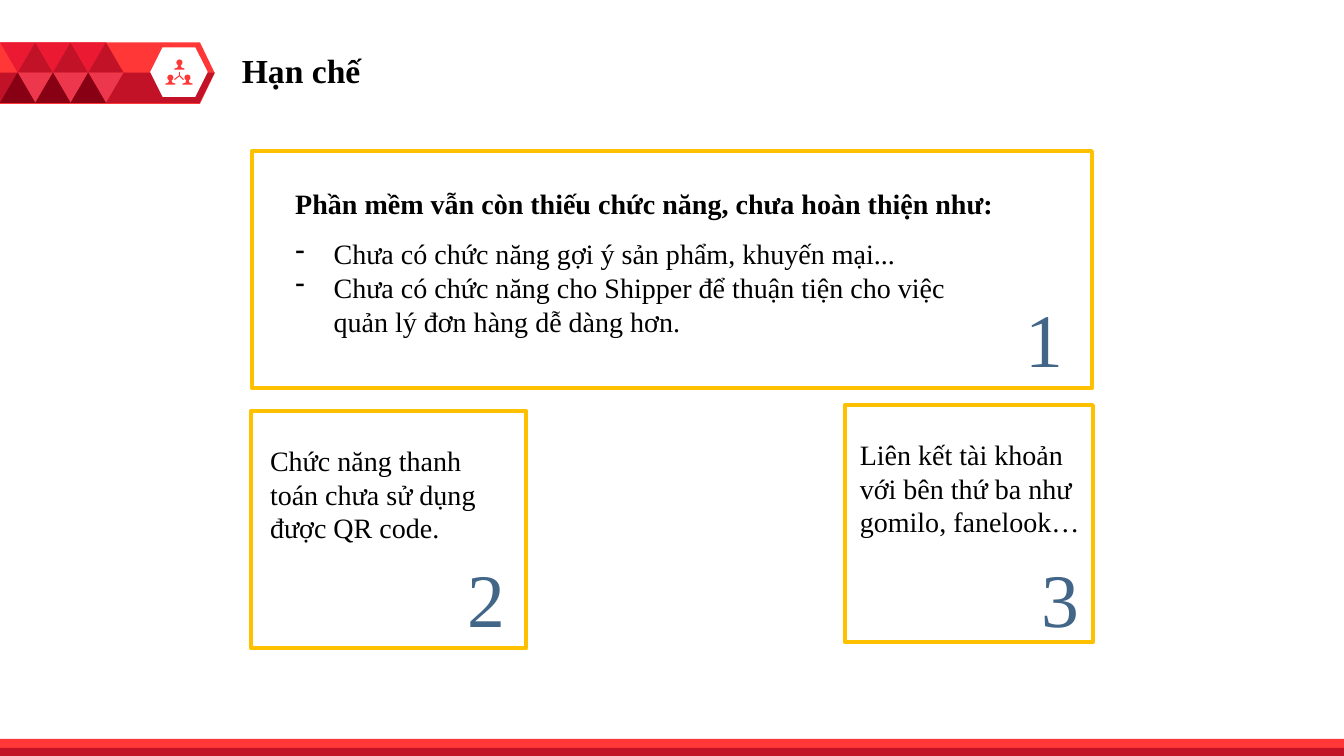
from lxml import etree
from pptx import Presentation
from pptx.dml.color import RGBColor
from pptx.enum.shapes import MSO_CONNECTOR, MSO_SHAPE
from pptx.enum.text import PP_ALIGN
from pptx.oxml.ns import qn
from pptx.util import Inches, Pt

RECTANGLE = MSO_SHAPE.RECTANGLE
TRIANGLE = MSO_SHAPE.ISOSCELES_TRIANGLE
PENTAGON = MSO_SHAPE.PENTAGON
HEXAGON = MSO_SHAPE.HEXAGON
OVAL = MSO_SHAPE.OVAL
STRAIGHT = MSO_CONNECTOR.STRAIGHT
LEFT, RIGHT = PP_ALIGN.LEFT, PP_ALIGN.RIGHT

# Content: text and its box as left, top, width, height
TITLE = ("Hạn chế", (2.3, 0.45, 4.22, 0.5))
HEADING = ("Phần mềm vẫn còn thiếu chức năng, chưa hoàn thiện như:", (2.83, 1.8, 7.67, 0.44))
MISSING_FEATURES = (
    [
        "Chưa có chức năng gợi ý sản phẩm, khuyến mại...",
        "Chưa có chức năng cho Shipper để thuận tiện cho việc quản lý đơn hàng dễ dàng hơn.",
    ],
    (2.83, 2.3, 6.92, 1.11),
)
CARD_TEXTS = [
    ("Chức năng thanh toán chưa sử dụng được QR code.", (2.58, 4.35, 2.47, 1.11)),
    ("Liên kết tài khoản với bên thứ ba như gomilo, fanelook…", (8.43, 4.29, 2.46, 1.45)),
]
CARD_FRAMES = [(2.5, 1.5, 8.33, 2.35), (2.49, 4.08, 2.73, 2.35), (8.38, 4.02, 2.46, 2.35)]
NUMBER_CORNERS = [(9, 2.85), (3.47, 5.43), (9.16, 5.43)]
NUMBER_SIZE = (1.64, 1.01)

THEME = {
    "font": "Times New Roman",
    "title": 24, "body": 20, "number": 54,
    "black": "000000", "white": "FFFFFF", "slate": "426687", "gold": "FFC000",
    "bright": "FF3737", "dark": "C21227",
    "crimson": "EB1932", "rose": "ED374D", "maroon": "880014",
}

# Banner geometry
BANNER_TOP, BANNER_WIDTH, ROW_HEIGHT = 0.42, 2.13, 0.3
BANNER_MIDDLE, BANNER_SHOULDER = 0.72, 1.98
TRIANGLE_WIDTH, TRIANGLE_COLUMNS = 0.35, 3
# Each triangle in a column: offset in widths, row, rotation, colour
TRIANGLES = [
    (0, 0, 180, "crimson"), (0.5, 0, 0, "dark"),
    (0.5, 1, 180, "rose"), (0, 1, 0, "maroon"),
]
ICON_CENTER = (1.78, 0.75)
SPOKE_ENDS = [(1.78, 0.71), (1.73, 0.79), (1.82, 0.79)]
PEOPLE = [(1.78, 0.59), (1.69, 0.74), (1.86, 0.74)]
BODY = [(-0.01, 0.05), (0.01, 0.05), (0.02, 0.08), (0.05, 0.09),
        (0.05, 0.1), (-0.05, 0.1), (-0.05, 0.09), (-0.02, 0.08)]


def color(name):
    return RGBColor.from_string(THEME[name])


def paint(shape, fill):
    shape.shadow.inherit = False
    shape.fill.solid()
    shape.fill.fore_color.rgb = color(fill)
    shape.line.fill.background()


def add_block(slide, kind, box, fill, rotation=0, adjustment=None):
    shape = slide.shapes.add_shape(kind, *map(Inches, box))
    paint(shape, fill)
    shape.rotation = rotation
    if adjustment is not None:
        shape.adjustments[0] = adjustment
    return shape


def add_outline(slide, points, fill):
    corners = [(Inches(x), Inches(y)) for x, y in points]
    builder = slide.shapes.build_freeform(*corners[0], scale=1.0)
    builder.add_line_segments(corners[1:], close=True)
    paint(builder.convert_to_shape(), fill)


def add_bullet(paragraph):
    properties = paragraph._p.get_or_add_pPr()
    properties.set("marL", str(Inches(0.38)))
    properties.set("indent", str(-Inches(0.38)))
    bullet_color = etree.SubElement(properties, qn("a:buClr"))
    etree.SubElement(bullet_color, qn("a:srgbClr")).set("val", THEME["black"])
    etree.SubElement(properties, qn("a:buFontTx"))
    etree.SubElement(properties, qn("a:buChar")).set("char", "-")


def add_text(slide, text, box, size="body", ink="black", bold=False, align=LEFT, bullets=False):
    frame = slide.shapes.add_textbox(*map(Inches, box)).text_frame
    frame.word_wrap = True
    lines = [text] if isinstance(text, str) else text
    for index, line in enumerate(lines):
        paragraph = frame.add_paragraph() if index else frame.paragraphs[0]
        paragraph.alignment = align
        if bullets:
            add_bullet(paragraph)
        run = paragraph.add_run()
        run.text = line
        run.font.name = THEME["font"]
        run.font.size = Pt(THEME[size])
        run.font.bold = bold
        run.font.color.rgb = color(ink)


def add_icon(slide):
    add_block(slide, HEXAGON, (1.49, 0.47, 0.57, 0.49), "white", adjustment=0.25)
    for end in SPOKE_ENDS:
        spoke = slide.shapes.add_connector(STRAIGHT, *map(Inches, ICON_CENTER + end))
        spoke.line.color.rgb = color("bright")
        spoke.line.width = Pt(0.75)
        etree.SubElement(spoke._element.spPr, qn("a:effectLst"))
    for x, y in PEOPLE:
        add_block(slide, OVAL, (x - 0.03, y, 0.06, 0.06), "bright")
        add_outline(slide, [(x + dx, y + dy) for dx, dy in BODY], "bright")


def add_banner(slide):
    add_block(slide, PENTAGON, (0, BANNER_TOP, BANNER_WIDTH, 0.61), "bright", adjustment=0.24)
    bottom = BANNER_MIDDLE + ROW_HEIGHT
    add_outline(slide, [(0, BANNER_MIDDLE), (BANNER_WIDTH, BANNER_MIDDLE),
                        (BANNER_SHOULDER, bottom), (0, bottom)], "dark")
    add_icon(slide)
    for column in range(TRIANGLE_COLUMNS):
        for offset, row, rotation, fill in TRIANGLES:
            box = ((column + offset) * TRIANGLE_WIDTH, BANNER_TOP + row * ROW_HEIGHT,
                   TRIANGLE_WIDTH, ROW_HEIGHT)
            add_block(slide, TRIANGLE, box, fill, rotation)


def main():
    presentation = Presentation()
    presentation.slide_width, presentation.slide_height = Inches(13.33), Inches(7.5)
    slide = presentation.slides.add_slide(presentation.slide_layouts[6])

    # Banner and footer stripes
    add_banner(slide)
    add_block(slide, RECTANGLE, (0, 7.33, 13.33, 0.16), "bright")
    add_block(slide, RECTANGLE, (0, 7.42, 13.33, 0.08), "dark")

    # Card frames
    for box in CARD_FRAMES:
        frame = add_block(slide, RECTANGLE, box, "white")
        frame.fill.background()
        frame.line.color.rgb = color("gold")
        frame.line.width = Pt(3)

    # Text
    add_text(slide, *TITLE, size="title", bold=True)
    add_text(slide, *HEADING, bold=True)
    add_text(slide, *MISSING_FEATURES, bullets=True)
    for text, box in CARD_TEXTS:
        add_text(slide, text, box)
    for number, corner in enumerate(NUMBER_CORNERS, start=1):
        add_text(slide, str(number), corner + NUMBER_SIZE, size="number", ink="slate", align=RIGHT)

    presentation.save("out.pptx")


if __name__ == "__main__":
    main()
